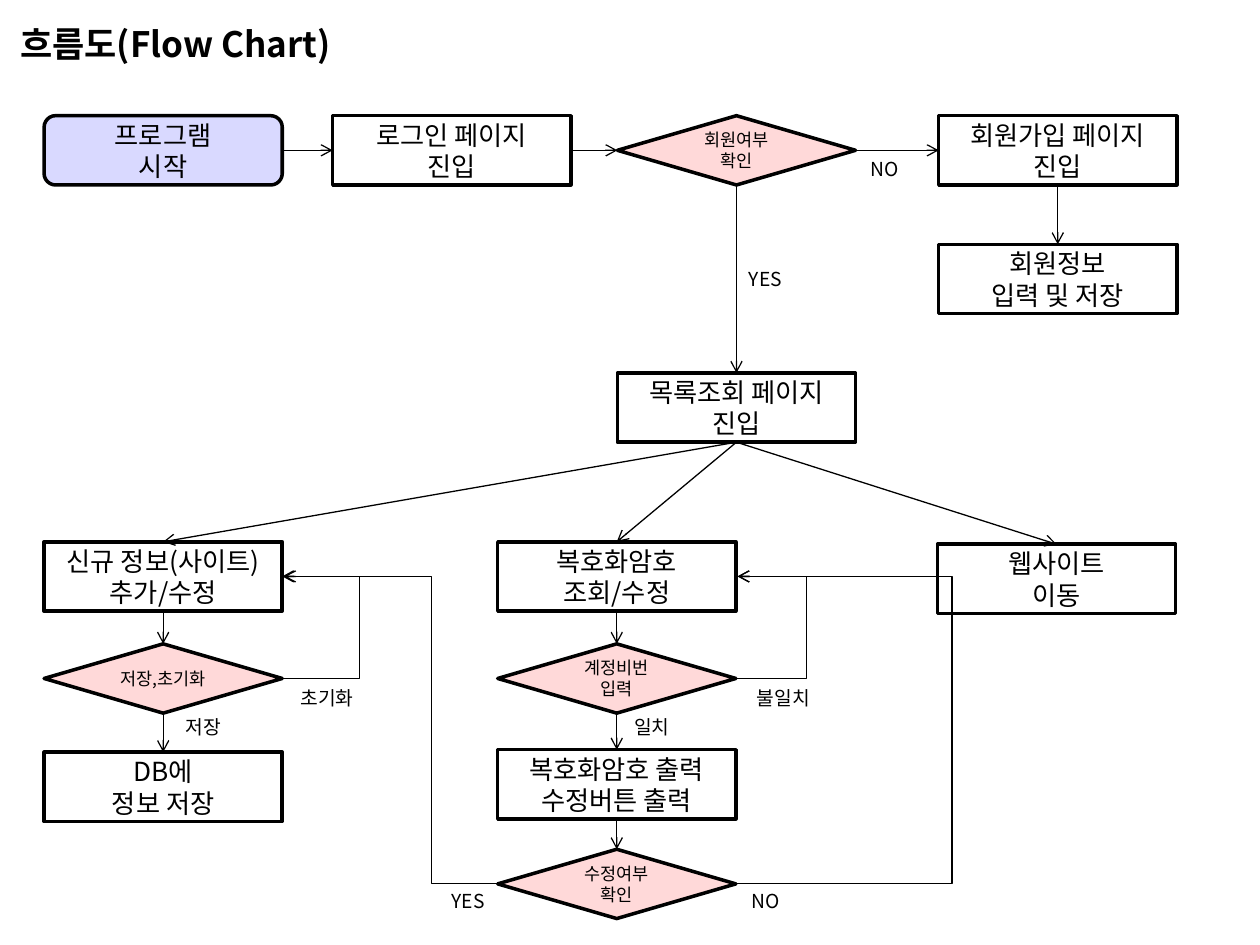
import pptx
import pptx.util
import pptx.dml.color
import pptx.enum.shapes
import pptx.enum.text
import pptx.oxml
import pptx.oxml.ns

Pt = pptx.util.Pt
SHAPE = pptx.enum.shapes.MSO_SHAPE
CONNECTOR = pptx.enum.shapes.MSO_CONNECTOR
ALIGN = pptx.enum.text.PP_ALIGN
ANCHOR = pptx.enum.text.MSO_ANCHOR

BLACK = pptx.dml.color.RGBColor(0x00, 0x00, 0x00)
LILAC = pptx.dml.color.RGBColor(0xD9, 0xD9, 0xFF)
PINK = pptx.dml.color.RGBColor(0xFF, 0xD9, 0xD9)
FONT = "Noto Sans CJK KR"
NODE_W, NODE_H = 136.1, 39.6
TOP, LEFT, BOTTOM, RIGHT = range(4)


def write(tf, lines, size, align=ALIGN.CENTER, bold=False):
    """One paragraph for each line of text."""
    for i, line in enumerate(lines):
        p = tf.paragraphs[0] if i == 0 else tf.add_paragraph()
        p.alignment = align
        p.line_spacing = Pt(1.2 * size)
        r = p.add_run()
        r.text = line
        r.font.size = Pt(size)
        r.font.bold = bold
        r.font.name = FONT
        r.font.color.rgb = BLACK
        ea = pptx.oxml.parse_xml(
            '<a:ea %s typeface="%s"/>' % (pptx.oxml.ns.nsdecls("a"), FONT))
        r.font._element.append(ea)


def node(s, x, y, lines, kind=SHAPE.RECTANGLE, fill=None, size=15):
    sp = s.shapes.add_shape(kind, Pt(x), Pt(y), Pt(NODE_W), Pt(NODE_H))
    sp.shadow.inherit = False
    if fill is None:
        sp.fill.background()
    else:
        sp.fill.solid()
        sp.fill.fore_color.rgb = fill
    sp.line.color.rgb = BLACK
    sp.line.width = Pt(2)
    tf = sp.text_frame
    tf.word_wrap = False
    tf.vertical_anchor = ANCHOR.MIDDLE
    write(tf, lines, size)
    return sp


def decision(s, x, y, lines):
    return node(s, x, y, lines, SHAPE.DIAMOND, PINK, 10)


def label(s, x, y, w, text):
    sp = s.shapes.add_textbox(Pt(x), Pt(y), Pt(w), Pt(20.9))
    sp.text_frame.word_wrap = False
    write(sp.text_frame, [text], 11)


def arrow(s, a, a_side, b, b_side, kind=CONNECTOR.STRAIGHT):
    c = s.shapes.add_connector(kind, 0, 0, 0, 0)
    c.begin_connect(a, a_side)
    c.end_connect(b, b_side)
    c.line.color.rgb = BLACK
    c.line.width = Pt(0.75)
    ln = c.line._get_or_add_ln()
    ln.append(pptx.oxml.parse_xml(
        '<a:tailEnd %s type="arrow"/>' % pptx.oxml.ns.nsdecls("a")))
    c._element.spPr.append(pptx.oxml.parse_xml(
        "<a:effectLst %s/>" % pptx.oxml.ns.nsdecls("a")))
    return c


def elbow(s, a, a_side, b, b_side, reach):
    """Bent arrow that turns at a distance of reach points from its start."""
    c = arrow(s, a, a_side, b, b_side, CONNECTOR.ELBOW)
    # The bend is a share of the width: a loop needs some width, unflipped
    if c.width < Pt(1):
        c.width = Pt(1)
        c._element.spPr.xfrm.flipH = False
    bend = round(reach * Pt(1) / c.width * 100000)
    av = c._element.spPr.prstGeom.get_or_add_avLst()
    av.append(pptx.oxml.parse_xml(
        '<a:gd %s name="adj1" fmla="val %d"/>'
        % (pptx.oxml.ns.nsdecls("a"), bend)))


def title(s, x, y, w, h):
    sp = s.shapes.add_textbox(Pt(x), Pt(y), Pt(w), Pt(h))
    tf = sp.text_frame
    tf.word_wrap = True
    tf.margin_left = tf.margin_right = Pt(2.9)
    write(tf, ["흐름도(Flow Chart)"], 20, ALIGN.LEFT, True)


def entry_flow(s, x, y):
    """Start, login, membership check and sign-up; returns the list page."""
    start = node(s, x, y, ["프로그램", "시작"], SHAPE.ROUNDED_RECTANGLE, LILAC)
    login = node(s, x + 164.9, y, ["로그인 페이지", "진입"])
    member = decision(s, x + 327.6, y, ["회원여부", "확인"])
    signup = node(s, x + 511.2, y, ["회원가입 페이지", "진입"])
    details = node(s, x + 511.2, y + 73.5, ["회원정보", "입력 및 저장"])
    listing = node(s, x + 327.6, y + 147, ["목록조회 페이지", "진입"])
    for a, b in ((start, login), (login, member), (member, signup)):
        arrow(s, a, RIGHT, b, LEFT)
    for a, b in ((signup, details), (member, listing)):
        arrow(s, a, BOTTOM, b, TOP)
    label(s, x + 395.3, y + 82.8, 33.8, "YES")
    label(s, x + 463.7, y + 20.2, 33.8, "NO")
    return listing


def edit_flow(s, x, y):
    """Add or edit a site, then save or reset."""
    edit = node(s, x, y, ["신규 정보(사이트)", "추가/수정"])
    choice = decision(s, x, y + 58.3, ["저장,초기화"])
    save = node(s, x, y + 120.2, ["DB에", "정보 저장"])
    arrow(s, edit, BOTTOM, choice, TOP)
    arrow(s, choice, BOTTOM, save, TOP)
    elbow(s, choice, RIGHT, edit, RIGHT, 44.5)
    label(s, x + 68.4, y + 95.8, 45.4, "저장")
    label(s, x + 136.1, y + 79.2, 51.1, "초기화")
    return edit


def password_flow(s, x, y, edit):
    """Password lookup with its checks; leads back to the edit step."""
    lookup = node(s, x, y, ["복호화암호", "조회/수정"])
    account = decision(s, x, y + 58.3, ["계정비번", "입력"])
    output = node(s, x, y + 118.8, ["복호화암호 출력", "수정버튼 출력"])
    confirm = decision(s, x, y + 175.7, ["수정여부", "확인"])
    steps = [lookup, account, output, confirm]
    for a, b in zip(steps, steps[1:]):
        arrow(s, a, BOTTOM, b, TOP)
    elbow(s, account, RIGHT, lookup, RIGHT, 40.5)
    elbow(s, confirm, RIGHT, lookup, RIGHT, 124.5)
    elbow(s, confirm, LEFT, edit, RIGHT, 37.8)
    label(s, x + 67.7, y + 95.8, 41, "일치")
    label(s, x + 137.5, y + 79.2, 51.8, "불일치")
    label(s, x - 33.8, y + 195.1, 33.8, "YES")
    label(s, x + 136.1, y + 195.1, 33.8, "NO")
    return lookup


def main():
    prs = pptx.Presentation()
    prs.slide_width, prs.slide_height = Pt(720), Pt(540)
    s = prs.slides.add_slide(prs.slide_layouts[6])

    title(s, 8.6, 9.4, 203.8, 31.7)
    listing = entry_flow(s, 25.2, 66.1)

    # Three branches below the list page
    edit = edit_flow(s, 25.2, 309.6)
    lookup = password_flow(s, 284.4, 309.6, edit)
    website = node(s, 535.7, 311, ["웹사이트", "이동"])
    for branch in (edit, lookup, website):
        arrow(s, listing, BOTTOM, branch, TOP)

    prs.save("out.pptx")


if __name__ == "__main__":
    main()
